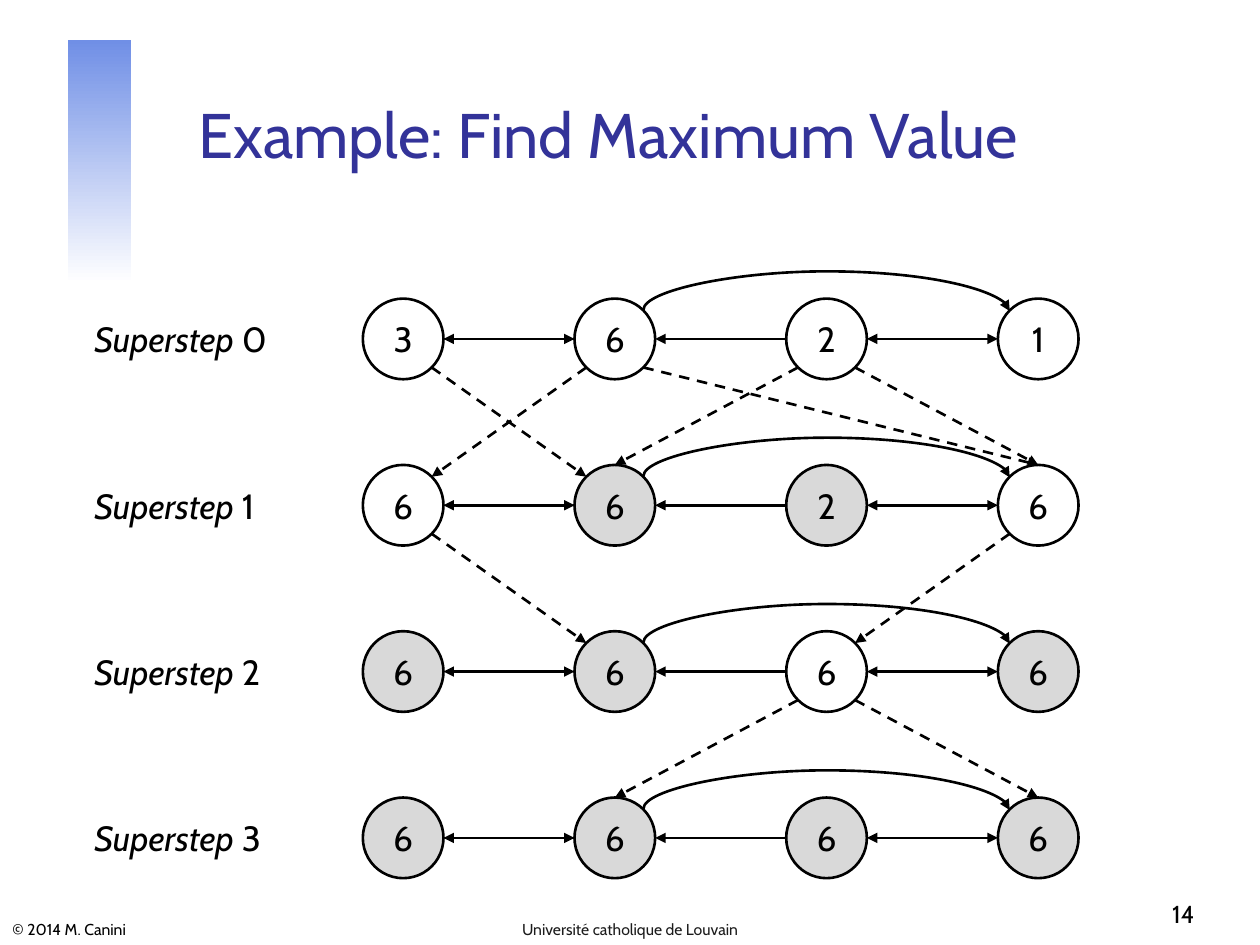
import pptx
import pptx.util
import pptx.dml.color
import pptx.enum.dml
import pptx.enum.shapes
import pptx.enum.text
import pptx.oxml
import pptx.oxml.ns
from lxml import etree

Inches, Pt = pptx.util.Inches, pptx.util.Pt
RGBColor = pptx.dml.color.RGBColor
ALIGN = pptx.enum.text.PP_ALIGN
ANCHOR = pptx.enum.text.MSO_ANCHOR
CONNECTOR = pptx.enum.shapes.MSO_CONNECTOR
SHAPE = pptx.enum.shapes.MSO_SHAPE
qn = pptx.oxml.ns.qn

# Content
TITLE = "Example: Find Maximum Value"
COPYRIGHT = "© 2014 M. Canini"
UNIVERSITY = "Université catholique de Louvain"
PAGE = "14"
# One row per superstep: node values, then the columns that are inactive
SUPERSTEPS = [
    ("3621", ()),
    ("6626", (1, 2)),
    ("6666", (0, 1, 3)),
    ("6666", (0, 1, 2, 3)),
]
# Links inside each superstep: from column, to column, two-way
LINKS = [(1, 0, True), (3, 2, True), (2, 1, False)]
# Messages to the next superstep: row, from column, to column, arrival side
MESSAGES = [
    (0, 0, 1, "corner"), (0, 1, 0, "corner"), (1, 0, 1, "corner"),
    (0, 1, 3, "top"), (0, 2, 1, "top"), (0, 2, 3, "top"),
    (1, 3, 2, "corner"), (2, 2, 1, "top"), (2, 2, 3, "top"),
]

# Style
FONT = "Cabin"
BLACK = RGBColor(0x00, 0x00, 0x00)
CHARCOAL = RGBColor(0x1C, 0x1C, 0x1C)
INDIGO = RGBColor(0x33, 0x33, 0x99)
GREY = RGBColor(0xD9, 0xD9, 0xD9)
BAND_BLUE = RGBColor(0x70, 0x8F, 0xE6)
WHITE = RGBColor(0xFF, 0xFF, 0xFF)
LINE_WIDTH = Pt(1.5)

# Node grid, in inches
RADIUS = 0.32
DIAGONAL = RADIUS * 0.5 ** 0.5
FIRST_X, STEP_X = 3.2, 1.68
FIRST_Y, STEP_Y = 2.69, 1.32
ARC_RISE, ARC_DROP = 0.31, 0.01

prs = pptx.Presentation()
prs.slide_width, prs.slide_height = Inches(10), Inches(7.5)
slide = prs.slides.add_slide(prs.slide_layouts[6])


def center(row, col):
    return FIRST_X + col * STEP_X, FIRST_Y + row * STEP_Y


def style_runs(paragraph, size, color):
    for run in paragraph.runs:
        run.font.name, run.font.size = FONT, Pt(size)
        run.font.color.rgb = color


def add_text(box, text, size, color=BLACK, align=ALIGN.LEFT, anchor=ANCHOR.BOTTOM):
    frame = slide.shapes.add_textbox(*map(Inches, box)).text_frame
    frame.word_wrap = True
    frame.vertical_anchor = anchor
    frame.text = text
    paragraph = frame.paragraphs[0]
    paragraph.alignment = align
    style_runs(paragraph, size, color)
    return paragraph


def add_arrow(start, end, kind=CONNECTOR.STRAIGHT, two_way=False, dashed=False):
    arrow = slide.shapes.add_connector(kind, *map(Inches, (*start, *end)))
    arrow.line.color.rgb = BLACK
    arrow.line.width = LINE_WIDTH
    if dashed:
        arrow.line.dash_style = pptx.enum.dml.MSO_LINE.DASH
    line = arrow.line._get_or_add_ln()
    for tag in ("a:headEnd", "a:tailEnd") if two_way else ("a:tailEnd",):
        etree.SubElement(line, qn(tag), type="triangle")
    etree.SubElement(arrow._element.spPr, qn("a:effectLst"))
    return arrow


def add_arc(row):
    """Curve over the row from the second node to the last one."""
    (x1, y), (x2, _) = center(row, 1), center(row, 3)
    x1, x2, y = x1 + DIAGONAL, x2 - DIAGONAL, y - DIAGONAL
    middle, span = (x1 + x2) / 2, x2 - x1
    # The frame is upright and turned a quarter, so its height is the span
    left, top = middle - ARC_DROP / 2, y - span / 2
    arc = add_arrow((left, top), (left + ARC_DROP, top + span), CONNECTOR.CURVE)
    frame = arc._element.spPr.find(qn("a:xfrm"))
    frame.set("rot", str(270 * 60000))
    frame.set("flipH", "1")
    adjustments = arc._element.spPr.find(qn("a:prstGeom")).find(qn("a:avLst"))
    bend = round(-ARC_RISE / ARC_DROP * 100000)
    etree.SubElement(adjustments, qn("a:gd"), name="adj1", fmla=f"val {bend}")


def add_node(row, col, value, inactive):
    x, y = center(row, col)
    node = slide.shapes.add_shape(SHAPE.OVAL, *map(
        Inches, (x - RADIUS, y - RADIUS, 2 * RADIUS, 2 * RADIUS)))
    node.shadow.inherit = False
    if inactive:
        node.fill.solid()
        node.fill.fore_color.rgb = GREY
    else:
        node.fill.background()
    node.line.color.rgb = BLACK
    node.line.width = LINE_WIDTH
    frame = node.text_frame
    frame.margin_left = frame.margin_right = frame.margin_top = frame.margin_bottom = 0
    frame.vertical_anchor = ANCHOR.MIDDLE
    frame.text = value
    frame.paragraphs[0].alignment = ALIGN.CENTER
    style_runs(frame.paragraphs[0], 20, BLACK)


# Gradient band, title and footer
band = slide.shapes.add_shape(SHAPE.RECTANGLE, *map(Inches, (0.54, 0.32, 0.5, 1.93)))
band.shadow.inherit = False
band.line.fill.background()
band.fill.gradient()
band.fill.gradient_angle = 270
for stop, position, color in zip(band.fill.gradient_stops, (0, 1), (BAND_BLUE, WHITE)):
    stop.position, stop.color.rgb = position, color

add_text((1.48, 0.33, 8.52, 1.08), TITLE, 36, INDIGO)
add_text((0, 7.22, 3.02, 0.28), COPYRIGHT, 9)
add_text((3.42, 7.22, 3.16, 0.28), UNIVERSITY, 9, CHARCOAL, ALIGN.CENTER)
add_text((7.5, 6.92, 2.08, 0.5), PAGE, 14, align=ALIGN.RIGHT)

# Supersteps: label, nodes and links
for row, (values, inactive) in enumerate(SUPERSTEPS):
    y = center(row, 0)[1]
    label = add_text((0.65, y - 0.22, 1.69, 0.44), "Superstep", 20, anchor=ANCHOR.MIDDLE)
    label.runs[0].font.italic = True
    label.add_run().text = f" {row}"
    style_runs(label, 20, BLACK)
    for col, value in enumerate(values):
        add_node(row, col, value, col in inactive)
    for source, target, two_way in LINKS:
        side = 1 if target > source else -1
        add_arrow((center(row, source)[0] + side * RADIUS, y),
                  (center(row, target)[0] - side * RADIUS, y), two_way=two_way)
    add_arc(row)

# Messages between supersteps
for row, source, target, arrival in MESSAGES:
    side = 1 if target > source else -1
    (x1, y1), (x2, y2) = center(row, source), center(row + 1, target)
    start = x1 + side * DIAGONAL, y1 + DIAGONAL
    if arrival == "top":
        end = x2, y2 - RADIUS
    else:
        end = x2 - side * DIAGONAL, y2 - DIAGONAL
    add_arrow(start, end, dashed=True)

prs.save("out.pptx")
